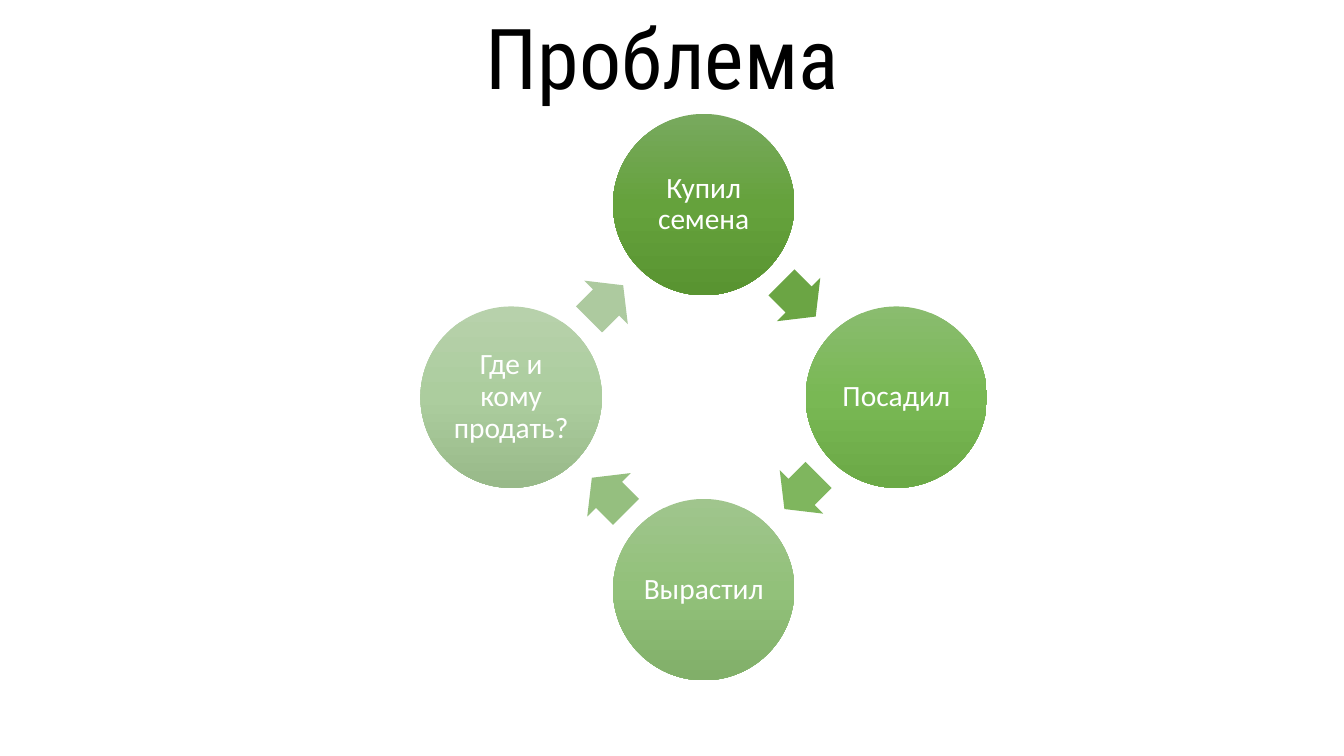
from math import cos, sin, radians
from pptx import Presentation
from pptx.dml.color import RGBColor as RGB
from pptx.enum.shapes import MSO_SHAPE as Geo
from pptx.enum.text import MSO_ANCHOR as Anchor, PP_ALIGN as Align
from pptx.oxml import parse_xml
from pptx.oxml.ns import nsdecls
from pptx.util import Inches, Pt

# Content: label, gradient, colour of the arrow that follows
TITLE = "Проблема "
STEPS = [
    ("Купил семена", "buy", "buy_arrow"),
    ("Посадил", "plant", "plant_arrow"),
    ("Вырастил", "grow", "grow_arrow"),
    ("Где и кому продать?", "sell", "sell_arrow"),
]
COLORS = {
    "title": "000000", "label": "FFFFFF",
    "buy": ("78A95E", "65A23C", "599431"), "buy_arrow": "6BA544",
    "plant": ("8ABC6F", "79B854", "6BA946"), "plant_arrow": "7FB65E",
    "grow": ("A0C58D", "92C17A", "81AF69"), "grow_arrow": "95BF7F",
    "sell": ("B7D1AB", "ACCD9E", "98B989"), "sell_arrow": "ADCA9F",
}
HEAD = {"size": Pt(60), "name": "Roboto Condensed"}
BODY = {"size": Pt(21), "name": "Calibri"}

# Ring layout, in inches
MID_X, MID_Y, RING = 6.98, 3.94, 1.91
DISC, ARROW_W, ARROW_H = 1.8, 0.48, 0.61
ARROW_RING, LAG = 1.35, 0.02
TURN = 360 / len(STEPS)

deck = Presentation()
deck.slide_width, deck.slide_height = Inches(13.33), Inches(7.5)
slide = deck.slides.add_slide(deck.slide_layouts[6])


def write(shape, text, look, color, inset=None):
    frame = shape.text_frame
    frame.word_wrap = True
    frame.vertical_anchor = Anchor.MIDDLE
    if inset is not None:
        for side in ("left", "right", "top", "bottom"):
            setattr(frame, "margin_" + side, Inches(inset))
    para = frame.paragraphs[0]
    para.alignment, para.line_spacing = Align.CENTER, 0.9
    run = para.add_run()
    run.text = text
    for key, val in look.items():
        setattr(run.font, key, val)
    run.font.color.rgb = RGB.from_string(COLORS[color])


def place(geo, x, y, w, h):
    """Add a plain shape centred on x, y."""
    shape = slide.shapes.add_shape(
        geo, Inches(x - w / 2), Inches(y - h / 2), Inches(w), Inches(h))
    shape.shadow.inherit = False
    shape.line.fill.background()
    return shape


def shade(shape, tones):
    """Fill with a gradient from top to bottom."""
    stops = "".join(
        f'<a:gs pos="{i * 50000}"><a:srgbClr val="{tone}"/></a:gs>'
        for i, tone in enumerate(tones))
    grad = parse_xml(
        f'<a:gradFill {nsdecls("a")} rotWithShape="1"><a:gsLst>{stops}</a:gsLst>'
        '<a:lin ang="5400000" scaled="0"/></a:gradFill>')
    shape._element.spPr.insert(2, grad)


# Title
box = slide.shapes.add_textbox(Inches(1.31), 0, Inches(10.71), Inches(1.23))
write(box, TITLE, HEAD, "title")

# Cycle: each disc, then the arrow to the next one
for i, (label, tones, tint) in enumerate(STEPS):
    ang = radians(i * TURN - 90)
    disc = place(Geo.OVAL, MID_X + RING * cos(ang), MID_Y + RING * sin(ang),
                 DISC, DISC)
    shade(disc, tones=COLORS[tones])
    write(disc, label, BODY, "label", 0.03)

    turn = (i + 0.5) * TURN
    way, ang = radians(turn), radians(turn - 90)
    arrow = place(Geo.RIGHT_ARROW,
                  MID_X + ARROW_RING * cos(ang) - LAG * cos(way),
                  MID_Y + ARROW_RING * sin(ang) - LAG * sin(way),
                  ARROW_W, ARROW_H)
    arrow.rotation = turn
    arrow.adjustments[0], arrow.adjustments[1] = 0.6, 0.5
    arrow.fill.solid()
    arrow.fill.fore_color.rgb = RGB.from_string(COLORS[tint])

deck.save("out.pptx")
